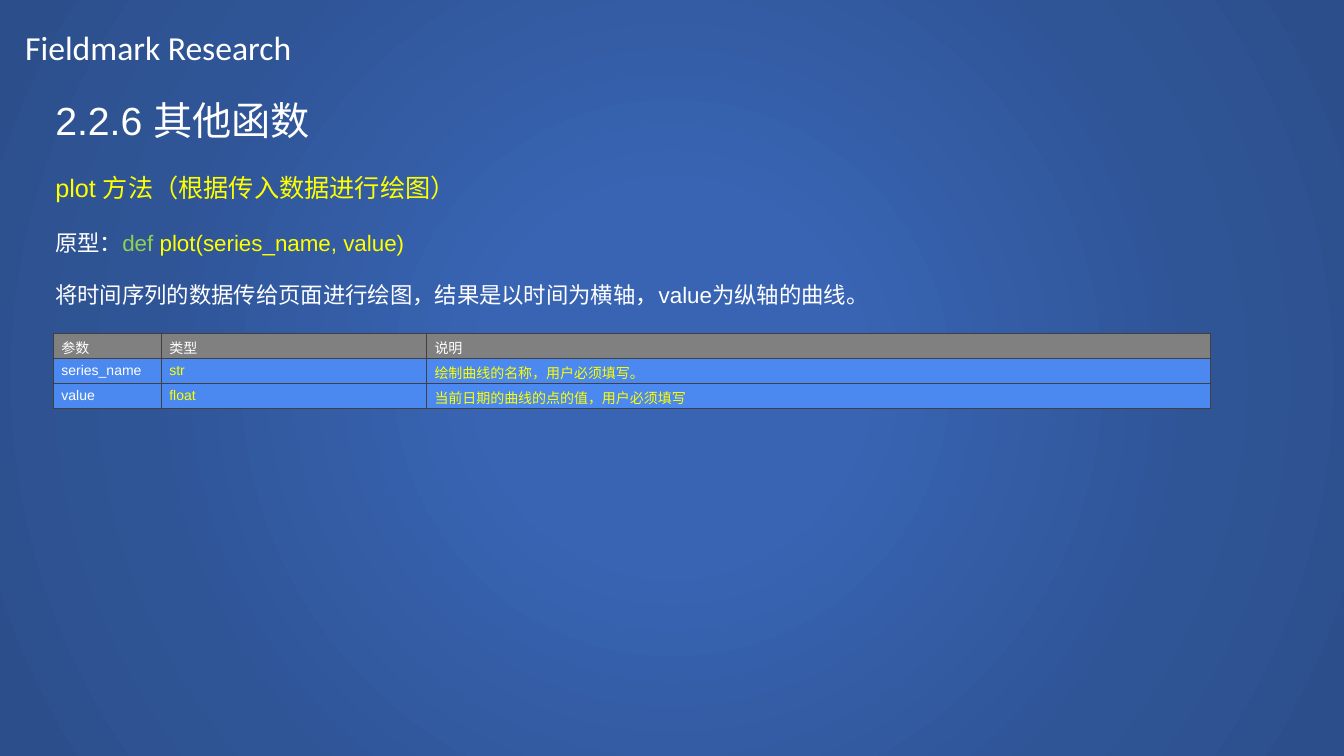
"""Build the slide on the plot function: heading, notes and parameter table."""
from lxml.etree import SubElement as Sub
from pptx import Presentation
from pptx.dml.color import RGBColor as RGB
from pptx.enum.shapes import MSO_SHAPE as Kind
from pptx.enum.text import MSO_ANCHOR as Anchor, MSO_AUTO_SIZE as Auto, PP_ALIGN as Align
from pptx.oxml.ns import qn
from pptx.util import Inches as In, Pt

HUES = {"white": "FFFFFF", "yellow": "FFFF00", "green": "92D050",
        "head": "808080", "row": "4B89F0", "edge": "404040",
        "core": "3864B3", "mid": "2F5597", "rim": "2C4F8C"}


def write(para, text, size, hue, face="Arial"):
    run = para.add_run()
    run.text = text
    look = {"size": Pt(size), "name": face, "bold": False}
    for key, val in look.items():
        setattr(run.font, key, val)
    run.font.color.rgb = RGB.from_string(HUES[hue])


def paint(node, hue):
    Sub(Sub(node, qn("a:solidFill")), qn("a:srgbClr"), val=HUES[hue])


deck = Presentation()
deck.slide_width, deck.slide_height = In(13.33), In(7.5)
slide = deck.slides.add_slide(deck.slide_layouts[5])
shapes = slide.shapes

back = shapes.add_shape(Kind.RECTANGLE, 0, 0, deck.slide_width, deck.slide_height)
back.shadow.inherit = False
back.line.fill.background()
back.fill.gradient()
grad = back._element.spPr.find(qn("a:gradFill"))
for child in list(grad):
    grad.remove(child)
stops = Sub(grad, qn("a:gsLst"))
for share, hue in [(0, "core"), (23, "core"), (69, "mid"), (97, "rim")]:
    stop = Sub(stops, qn("a:gs"), pos=str(share * 1000))
    Sub(stop, qn("a:srgbClr"), val=HUES[hue])
ring = Sub(grad, qn("a:path"), path="circle")
Sub(ring, qn("a:fillToRect"), {side: "50000" for side in "ltrb"})
shapes._spTree.insert(2, back._element)

title = shapes.title
place = {"left": In(0.15), "top": In(0.22), "width": In(5.04), "height": In(0.5)}
for key, val in place.items():
    setattr(title, key, val)
frame = title.text_frame
form = {"auto_size": Auto.NONE, "vertical_anchor": Anchor.TOP, "word_wrap": True}
for key, val in form.items():
    setattr(frame, key, val)
frame.paragraphs[0].alignment = Align.LEFT
write(frame.paragraphs[0], "Fieldmark Research", 24, "white", "Calibri")

body = shapes.add_textbox(In(0.45), In(0.91), In(11.77), In(4.44)).text_frame
body.word_wrap = True
lines = [
    (28, 0, [("2.2.6 其他函数", "white")]),
    (18, 20.7, [("plot 方法（根据传入数据进行绘图）", "yellow")]),
    (16, 18.4, [("原型：", "white"), ("def ", "green"),
                ("plot(series_name, value)", "yellow")]),
    (16, 18.4, [("将时间序列的数据传给页面进行绘图，结果是以时间为横轴，value为纵轴的曲线。", "white")]),
]
for num, (size, gap, runs) in enumerate(lines):
    para = body.add_paragraph() if num else body.paragraphs[0]
    para.space_before = Pt(gap)
    for text, hue in runs:
        write(para, text, size, hue)

rows = [("参数", "类型", "说明"),
        ("series_name", "str", "绘制曲线的名称，用户必须填写。"),
        ("value", "float", "当前日期的曲线的点的值，用户必须填写")]
wide = [1.07, 2.63, 7.78]
high = 0.24
grid = shapes.add_table(len(rows), len(wide), In(0.53), In(3.31),
                        In(sum(wide)), In(high * len(rows))).table
for col, width in zip(grid.columns, wide):
    col.width = In(width)
inset = {"margin_left": In(0.08), "margin_right": In(0.08),
         "margin_top": In(0.04), "margin_bottom": In(0.04),
         "vertical_anchor": Anchor.MIDDLE}
for r, row in enumerate(rows):
    grid.rows[r].height = In(high)
    for c, text in enumerate(row):
        cell = grid.cell(r, c)
        for key, val in inset.items():
            setattr(cell, key, val)
        props = cell._tc.get_or_add_tcPr()
        for side in "LRTB":
            paint(Sub(props, qn(f"a:ln{side}"), w=str(Pt(1))), "edge")
        cell.fill.solid()
        cell.fill.fore_color.rgb = RGB.from_string(HUES["row" if r else "head"])
        write(cell.text_frame.paragraphs[0], text, 10, "yellow" if r and c else "white")

deck.save("out.pptx")
